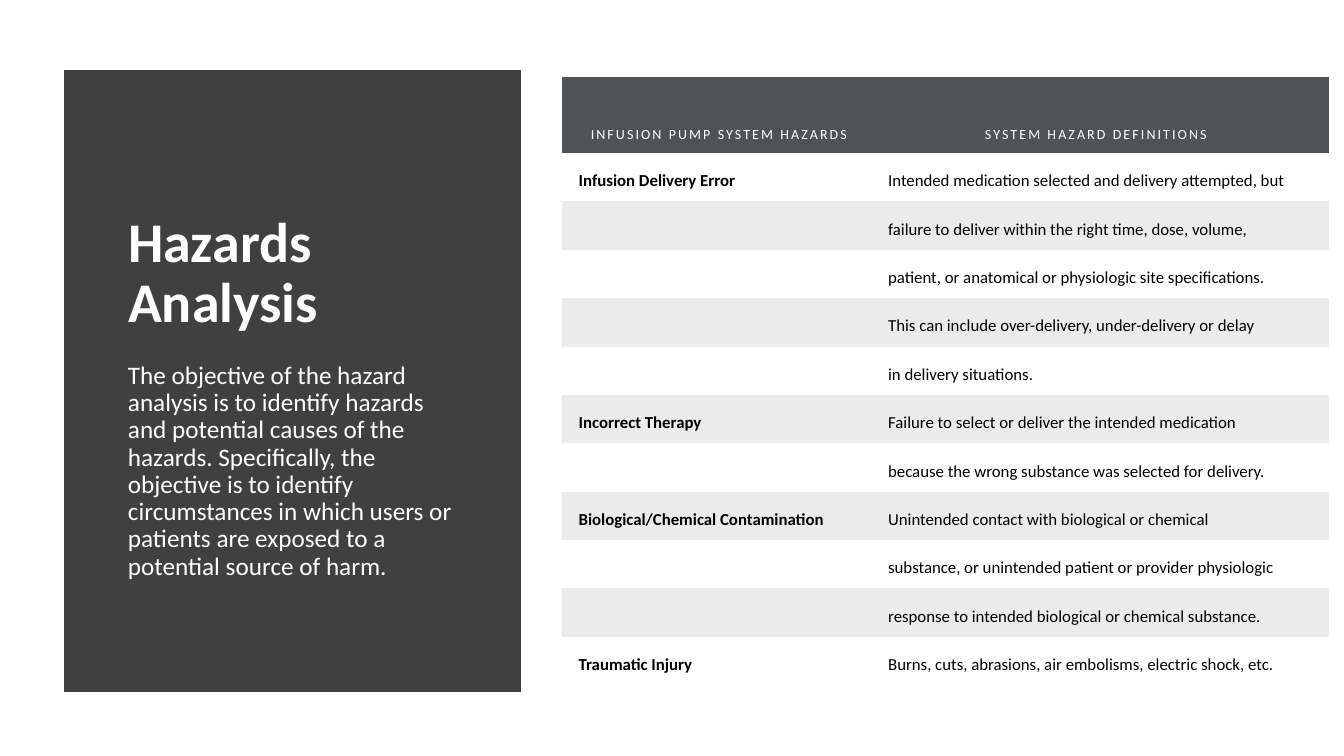
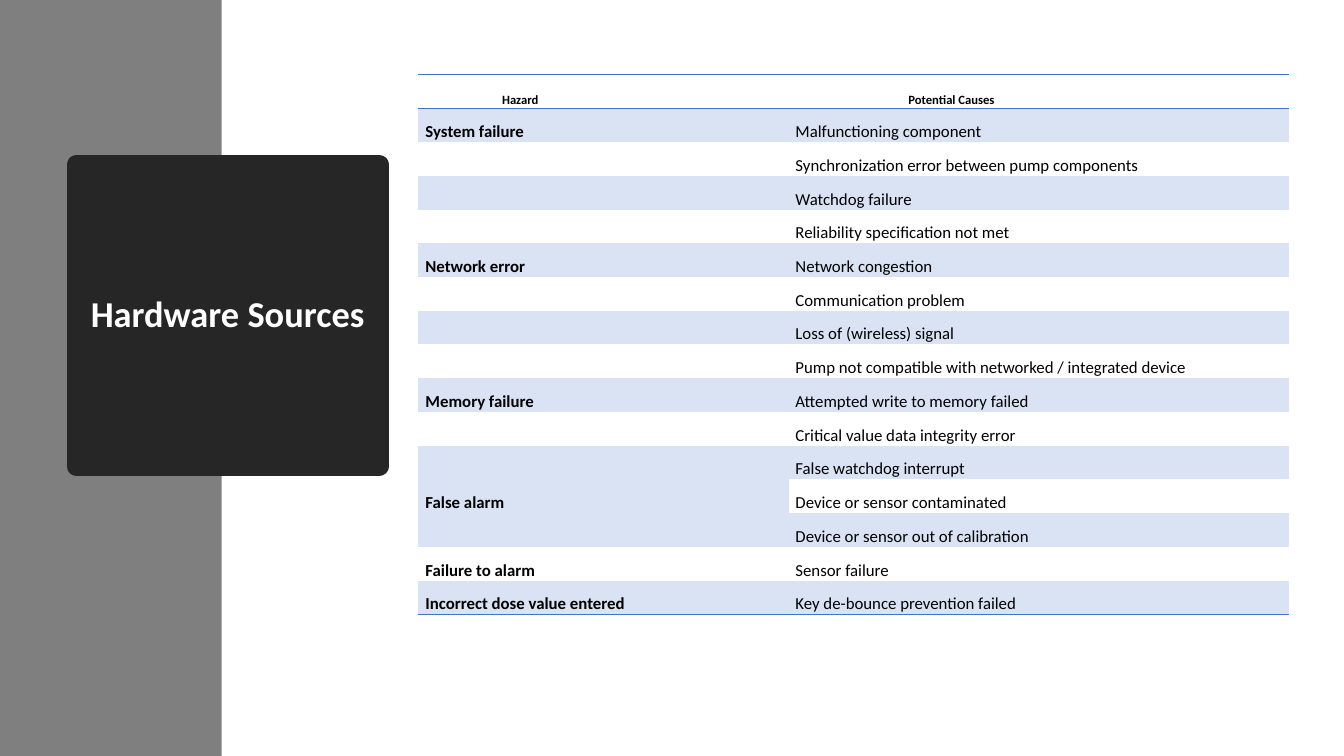
from dataclasses import dataclass
from typing import Optional

import pptx
import pptx.dml.color
import pptx.enum.shapes
import pptx.enum.text
import pptx.oxml
import pptx.oxml.ns
import pptx.util

RGBColor = pptx.dml.color.RGBColor
Align = pptx.enum.text.PP_ALIGN
Anchor = pptx.enum.text.MSO_ANCHOR
qn = pptx.oxml.ns.qn

# Shared look
WHITE = RGBColor(0xFF, 0xFF, 0xFF)
BLACK = RGBColor(0x00, 0x00, 0x00)
PANEL_GRAY = RGBColor(0x40, 0x40, 0x40)
BAND_GRAY = RGBColor(0x7F, 0x7F, 0x7F)
TILE_GRAY = RGBColor(0x26, 0x26, 0x26)
HEADER_GRAY = RGBColor(0x50, 0x53, 0x56)
STRIPE_GRAY = RGBColor(0xEB, 0xEB, 0xEB)
STRIPE_BLUE = RGBColor(0xDA, 0xE3, 0xF3)
RULE_BLUE = RGBColor(0x44, 0x72, 0xC4)
FONT = "Calibri"
LINE_SPACING = 0.9
PLAIN_TABLE_STYLE = "{2D5ABB26-0587-4C30-8999-92F81FD0307C}"
TITLE_ONLY_LAYOUT = 5
SLIDE_WIDTH = pptx.util.Inches(13.33)
SLIDE_HEIGHT = pptx.util.Inches(7.5)


@dataclass(frozen=True)
class Area:
    """A rectangle in percent of the slide's width and height."""
    left: float
    top: float
    width: float
    height: float

    def lengths(self) -> tuple[int, int, int, int]:
        return (round(SLIDE_WIDTH * self.left / 100), round(SLIDE_HEIGHT * self.top / 100),
                round(SLIDE_WIDTH * self.width / 100), round(SLIDE_HEIGHT * self.height / 100))


@dataclass(frozen=True)
class TextStyle:
    size: float
    color: RGBColor = BLACK
    bold: bool = False
    tracking: int = 0


@dataclass(frozen=True)
class Row:
    label: str
    text: str
    line_points: Optional[float] = None


@dataclass(frozen=True)
class TableDesign:
    area: Area
    column_weights: tuple[float, ...]
    header_weight: float          # header height, in body rows
    header: Row
    header_style: TextStyle
    header_indents: tuple[float, float]
    body_indents: tuple[float, float]
    margin: float
    stripe: RGBColor
    first_stripe: int             # first striped row
    header_fill: Optional[RGBColor] = None


# Slide content
HAZARDS_OBJECTIVE = (
    "The objective of the hazard analysis is to identify hazards and potential causes of the "
    "hazards. Specifically, the objective is to identify circumstances in which users or "
    "patients are exposed to a potential source of harm.")

HAZARD_ROWS = [
    Row("Infusion Delivery Error", "Intended medication selected and delivery attempted, but", 12.2),
    Row("", "failure to deliver within the right time, dose, volume,"),
    Row("", "patient, or anatomical or physiologic site specifications."),
    Row("", "This can include over-delivery, under-delivery or delay"),
    Row("", "in delivery situations."),
    Row("Incorrect Therapy", "Failure to select or deliver the intended medication", 12.1),
    Row("", "because the wrong substance was selected for delivery."),
    Row("Biological/Chemical Contamination", "Unintended contact with biological or chemical", 12.1),
    Row("", "substance, or unintended patient or provider physiologic"),
    Row("", "response to intended biological or chemical substance."),
    Row("Traumatic Injury", "Burns, cuts, abrasions, air embolisms, electric shock, etc.", 13.2),
]

CAUSE_ROWS = [Row(label, text, 11) for label, text in [
    ("System failure", "Malfunctioning component"),
    ("", "Synchronization error between pump components"),
    ("", "Watchdog failure"),
    ("", "Reliability specification not met"),
    ("Network error", "Network congestion"),
    ("", "Communication problem"),
    ("", "Loss of (wireless) signal"),
    ("", "Pump not compatible with networked / integrated device"),
    ("Memory failure", "Attempted write to memory failed"),
    ("", "Critical value data integrity error"),
    ("False alarm", "False watchdog interrupt"),
    ("", "Device or sensor contaminated"),
    ("", "Device or sensor out of calibration"),
    ("Failure to alarm", "Sensor failure"),
    ("Incorrect dose value entered", "Key de-bounce prevention failed"),
]]
FALSE_ALARM_ROW = 11

HAZARD_TABLE = TableDesign(
    area=Area(41.78, 10.13, 57.08, 80.53), column_weights=(3.07, 4.54), header_weight=1.58,
    header=Row("INFUSION PUMP SYSTEM HAZARDS", "SYSTEM HAZARD DEFINITIONS"),
    header_style=TextStyle(10, WHITE, tracking=150), header_indents=(0.19, 1.03),
    body_indents=(0.07, 0.07), margin=0.1, stripe=STRIPE_GRAY, first_stripe=2,
    header_fill=HEADER_GRAY)

CAUSE_TABLE = TableDesign(
    area=Area(31.13, 9.87, 64.82, 71.47), column_weights=(3.68, 4.78, 0.18), header_weight=1,
    header=Row("Hazard", "Potential Causes", 11),
    header_style=TextStyle(9, bold=True), header_indents=(0.83, 1.18),
    body_indents=(0.07, 0.06), margin=0, stripe=STRIPE_BLUE, first_stripe=1)


# Text and shapes
def add_run(paragraph, text: str, style: TextStyle) -> None:
    run = paragraph.add_run()
    run.text = text
    run.font.name = FONT
    run.font.size = pptx.util.Pt(style.size)
    run.font.bold = style.bold
    run.font.color.rgb = style.color
    if style.tracking:
        run.font._element.set("spc", str(style.tracking))


def write_block(shape, text: str, style: TextStyle, anchor, alignment=Align.LEFT) -> None:
    frame = shape.text_frame
    frame.word_wrap = True
    frame.auto_size = pptx.enum.text.MSO_AUTO_SIZE.NONE
    frame.vertical_anchor = anchor
    paragraph = frame.paragraphs[0]
    paragraph.alignment = alignment
    paragraph.line_spacing = LINE_SPACING
    add_run(paragraph, text, style)


def paint(shape, color: RGBColor, outline: float = 0, join: str = "miter") -> None:
    shape.fill.solid()
    shape.fill.fore_color.rgb = color
    if not outline:
        shape.line.fill.background()
        return
    shape.line.color.rgb = color
    shape.line.width = pptx.util.Pt(outline)
    line = shape.element.spPr.find(qn("a:ln"))
    line.append(pptx.oxml.parse_xml(f'<a:{join} {pptx.oxml.ns.nsdecls("a")}/>'))


def add_block(slide, area: Area, color: RGBColor, outline: float = 0) -> None:
    shape = slide.shapes.add_shape(pptx.enum.shapes.MSO_SHAPE.RECTANGLE, *area.lengths())
    shape.shadow.inherit = False
    paint(shape, color, outline)


def place_title(slide, area: Area, text: str, size: float, anchor, alignment):
    """Formats the title and brings it in front of the blocks."""
    title = slide.shapes.title
    title.left, title.top, title.width, title.height = area.lengths()
    write_block(title, text, TextStyle(size, WHITE, bold=True), anchor, alignment)
    title.element.getparent().append(title.element)
    return title


# Tables
def write_cell(cell, text: str, style: TextStyle, indent: float, margin: float,
               line_points: Optional[float]) -> None:
    inset = pptx.util.Inches(margin if text else 0)
    cell.margin_left = cell.margin_right = cell.margin_top = cell.margin_bottom = inset
    cell.vertical_anchor = Anchor.BOTTOM
    if not text:
        return
    paragraph = cell.text_frame.paragraphs[0]
    if line_points:
        paragraph.line_spacing = pptx.util.Pt(line_points)
    paragraph._p.get_or_add_pPr().set("marL", str(pptx.util.Inches(indent)))
    add_run(paragraph, text, style)


def fill_cell(cell, color: Optional[RGBColor]) -> None:
    if color is None:
        cell.fill.background()
    else:
        cell.fill.solid()
        cell.fill.fore_color.rgb = color


def rule_row(table, row_index: int, sides: tuple[str, ...]) -> None:
    for cell in table.rows[row_index].cells:
        properties = cell._tc.get_or_add_tcPr()
        for position, side in enumerate(sides):
            properties.insert(position, pptx.oxml.parse_xml(
                f'<a:ln{side} {pptx.oxml.ns.nsdecls("a")} w="{pptx.util.Pt(1)}">'
                f'<a:solidFill><a:srgbClr val="{RULE_BLUE}"/></a:solidFill></a:ln{side}>'))


def add_hazard_table(slide, design: TableDesign, body: list[Row]):
    rows = [design.header, *body]
    left, top, width, height = design.area.lengths()
    frame = slide.shapes.add_table(len(rows), len(design.column_weights), left, top, width, height)
    table = frame.table
    table.first_row = table.horz_banding = False
    table._tbl.tblPr.find(qn("a:tableStyleId")).text = PLAIN_TABLE_STYLE
    for column, weight in zip(table.columns, design.column_weights):
        column.width = round(width * weight / sum(design.column_weights))
    unit = height / (design.header_weight + len(body))
    for index, row in enumerate(rows):
        is_header = index == 0
        table.rows[index].height = round(unit * (design.header_weight if is_header else 1))
        striped = not is_header and (index - design.first_stripe) % 2 == 0
        color = design.header_fill if is_header else design.stripe if striped else None
        indents = design.header_indents if is_header else design.body_indents
        texts = (row.label, row.text, "")
        for column_index, cell in enumerate(table.rows[index].cells):
            style = design.header_style if is_header else TextStyle(12, bold=column_index == 0)
            indent = indents[min(column_index, 1)]
            write_cell(cell, texts[column_index], style, indent, design.margin, row.line_points)
            fill_cell(cell, color)
    return table


# Slides
def build_hazards_slide(presentation) -> None:
    slide = presentation.slides.add_slide(presentation.slide_layouts[TITLE_ONLY_LAYOUT])
    add_block(slide, Area(5.25, 10.13, 33, 80.53), PANEL_GRAY, outline=10)
    place_title(slide, Area(8.78, 14.8, 25.8, 30.13), "Hazards Analysis", 40,
                Anchor.BOTTOM, Align.LEFT)
    objective = slide.shapes.add_textbox(*Area(8.78, 47.33, 25.8, 32.53).lengths())
    write_block(objective, HAZARDS_OBJECTIVE, TextStyle(18, WHITE), Anchor.TOP)
    add_hazard_table(slide, HAZARD_TABLE, HAZARD_ROWS)


def build_hardware_slide(presentation) -> None:
    slide = presentation.slides.add_slide(presentation.slide_layouts[TITLE_ONLY_LAYOUT])
    add_block(slide, Area(0, 0, 16.5, 100), BAND_GRAY)
    title = place_title(slide, Area(5.7, 21.73, 22.5, 40), "Hardware Sources", 26,
                        Anchor.MIDDLE, Align.CENTER)
    paint(title, TILE_GRAY, outline=13.75, join="round")
    table = add_hazard_table(slide, CAUSE_TABLE, CAUSE_ROWS)
    table.cell(FALSE_ALARM_ROW, 0).merge(table.cell(FALSE_ALARM_ROW + 1, 0))
    rule_row(table, 0, ("T", "B"))
    rule_row(table, len(CAUSE_ROWS), ("B",))


def main() -> None:
    presentation = pptx.Presentation()
    presentation.slide_width = SLIDE_WIDTH
    presentation.slide_height = SLIDE_HEIGHT
    build_hazards_slide(presentation)
    build_hardware_slide(presentation)
    presentation.save("out.pptx")


if __name__ == "__main__":
    main()
